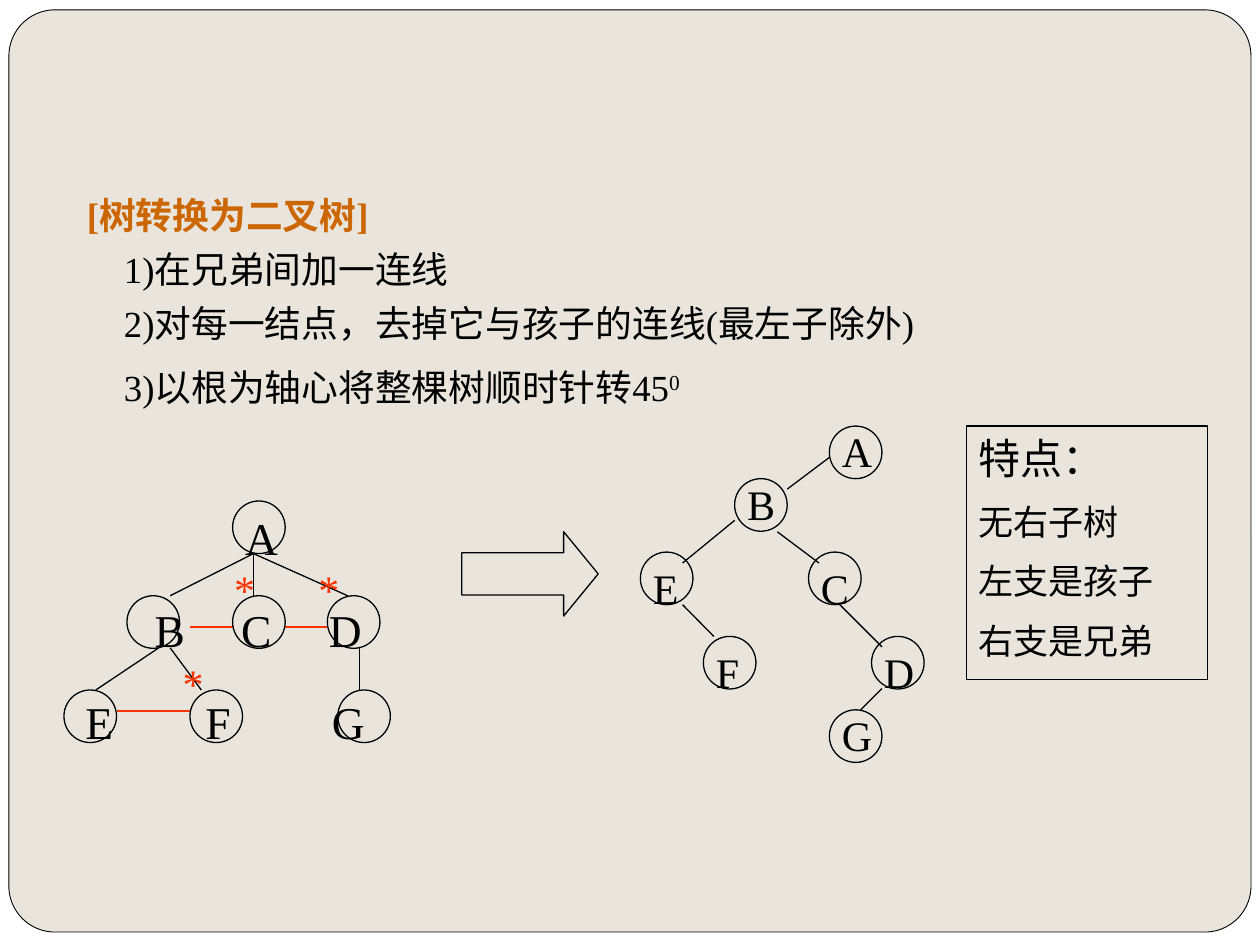
from dataclasses import dataclass

from lxml import etree
from pptx import Presentation
from pptx.dml.color import RGBColor
from pptx.enum import shapes, text
from pptx.oxml.ns import qn
from pptx.util import Cm, Pt


@dataclass(frozen=True)
class Theme:
    font: str = "Times New Roman"
    paper: RGBColor = RGBColor(0xE9, 0xE5, 0xDC)
    ink: RGBColor = RGBColor(0, 0, 0)
    heading: RGBColor = RGBColor(0xCC, 0x66, 0x00)
    sibling: RGBColor = RGBColor(0xFF, 0x33, 0x00)
    body: float = 21
    tree: float = 26
    label: float = 24
    trait: float = 20
    frame_line: float = 0.5
    line: float = 0.75


@dataclass(frozen=True)
class Node:
    """A tree node: top left of its circle and of its label, in cm."""
    name: str
    x: float
    y: float
    label_x: float
    label_y: float


@dataclass(frozen=True)
class Edge:
    x1: float
    y1: float
    x2: float
    y2: float


THEME = Theme()
DIAMETER = 1.06
LABEL_SIZE = 1.27

TREE_NODES = [
    Node("A", 4.69, 10.1, 4.69, 10.16),
    Node("B", 2.56, 12.01, 2.87, 12.01),
    Node("C", 4.69, 12.01, 4.61, 12.01),
    Node("D", 6.6, 12.01, 6.38, 12.01),
    Node("E", 1.29, 13.91, 1.47, 13.87),
    Node("F", 3.83, 13.91, 3.89, 13.87),
    Node("G", 6.81, 13.91, 6.44, 13.87),
]
TREE_EDGES = [
    Edge(5.11, 11.16, 3.43, 12.01),
    Edge(5.11, 11.16, 5.11, 12.01),
    Edge(5.11, 11.16, 7.01, 12.01),
    Edge(3.2, 13.06, 1.93, 13.91),
    Edge(3.43, 13.06, 4.06, 13.91),
    Edge(7.24, 13.06, 7.24, 13.91),
]
SIBLING_EDGES = [
    Edge(3.83, 12.64, 4.69, 12.64),
    Edge(5.74, 12.64, 6.6, 12.64),
    Edge(2.36, 14.33, 3.83, 14.33),
]
SIBLING_MARKS = [(4.47, 11.23), (6.17, 11.23), (3.43, 13.14)]

BINARY_NODES = [
    Node("A", 16.72, 8.59, 16.72, 8.46),
    Node("B", 14.81, 9.65, 14.81, 9.53),
    Node("E", 12.91, 11.13, 12.91, 11.21),
    Node("F", 14.18, 12.83, 14.18, 12.91),
    Node("C", 16.3, 11.13, 16.3, 11.21),
    Node("D", 17.57, 12.83, 17.57, 12.91),
    Node("G", 16.72, 14.31, 16.72, 14.18),
]
BINARY_EDGES = [
    Edge(16.72, 9.22, 15.87, 9.86),
    Edge(14.81, 10.49, 13.76, 11.35),
    Edge(13.76, 12.19, 14.39, 12.83),
    Edge(15.67, 10.72, 16.51, 11.35),
    Edge(16.93, 12.19, 17.78, 13.04),
    Edge(17.78, 13.88, 17.35, 14.31),
]

STEPS = ["1)在兄弟间加一连线", "2)对每一结点，去掉它与孩子的连线(最左子除外)"]
TRAITS = ["无右子树", "左支是孩子", "右支是兄弟"]


def write(frame, content: str, *, size: float, color=THEME.ink, bold=False,
          before: float = 0, spacing: float = 1, indent: float = 0,
          superscript: str = "") -> None:
    """Fill the empty first paragraph of the frame, or add one after the last."""
    paragraph = frame.paragraphs[0]
    if paragraph.runs:
        paragraph = frame.add_paragraph()
    paragraph.alignment = text.PP_ALIGN.LEFT
    paragraph.space_before = Pt(before)
    paragraph.line_spacing = spacing
    if indent:
        paragraph._p.get_or_add_pPr().set("marL", str(Cm(indent)))
    for piece, baseline in ((content, None), (superscript, "30000")):
        if not piece:
            continue
        run = paragraph.add_run()
        run.text = piece
        run.font.name = THEME.font
        run.font.size = Pt(size)
        run.font.bold = bold
        run.font.color.rgb = color
        if baseline:
            run._r.get_or_add_rPr().set("baseline", baseline)


def add_frame(slide, x: float, y: float, width: float, height: float):
    """Add a text box and return its text frame."""
    frame = slide.shapes.add_textbox(Cm(x), Cm(y), Cm(width), Cm(height)).text_frame
    frame.word_wrap = True
    return frame


def add_outline(slide, kind, x: float, y: float, width: float, height: float,
                *, fill=None, weight: float = THEME.line):
    outline = slide.shapes.add_shape(kind, Cm(x), Cm(y), Cm(width), Cm(height))
    outline.shadow.inherit = False
    if fill is None:
        outline.fill.background()
    else:
        outline.fill.solid()
        outline.fill.fore_color.rgb = fill
    outline.line.color.rgb = THEME.ink
    outline.line.width = Pt(weight)
    return outline


def add_edges(slide, edges: list[Edge], color=THEME.ink) -> None:
    for edge in edges:
        branch = slide.shapes.add_connector(
            shapes.MSO_CONNECTOR.STRAIGHT,
            Cm(edge.x1), Cm(edge.y1), Cm(edge.x2), Cm(edge.y2))
        branch.line.color.rgb = color
        branch.line.width = Pt(THEME.line)
        etree.SubElement(branch._element.spPr, qn("a:effectLst"))


def add_nodes(slide, nodes: list[Node], size: float) -> None:
    for node in nodes:
        add_outline(slide, shapes.MSO_SHAPE.OVAL, node.x, node.y, DIAMETER, DIAMETER)
    for node in nodes:
        label = add_frame(slide, node.label_x, node.label_y, LABEL_SIZE, LABEL_SIZE)
        write(label, node.name, size=size)


def main() -> None:
    deck = Presentation()
    deck.slide_width, deck.slide_height = Cm(25.4), Cm(19.05)
    slide = deck.slides.add_slide(deck.slide_layouts[6])

    panel = add_outline(slide, shapes.MSO_SHAPE.ROUNDED_RECTANGLE, 0.18, 0.2,
                        25.04, 18.59, fill=THEME.paper, weight=THEME.frame_line)
    panel.adjustments[0] = 0.05

    method = add_frame(slide, 1.5, 3.76, 22.86, 4.7)
    write(method, "[树转换为二叉树]", size=THEME.body, color=THEME.heading, bold=True)
    for step in STEPS:
        write(method, step, size=THEME.body, before=5.8, indent=0.75)
    write(method, "3)以根为轴心将整棵树顺时针转45", superscript="0",
          size=THEME.body, before=5.8, spacing=1.2, indent=0.75)

    add_edges(slide, TREE_EDGES)
    add_edges(slide, SIBLING_EDGES, THEME.sibling)
    add_nodes(slide, TREE_NODES, THEME.tree)
    for x, y in SIBLING_MARKS:
        mark = add_frame(slide, x, y, LABEL_SIZE, LABEL_SIZE)
        write(mark, "*", size=THEME.label, color=THEME.sibling)

    arrow = add_outline(slide, shapes.MSO_SHAPE.RIGHT_ARROW, 9.31, 10.72, 2.75, 1.7)
    arrow.adjustments[0], arrow.adjustments[1] = 0.5, 0.41

    add_edges(slide, BINARY_EDGES)
    add_nodes(slide, BINARY_NODES, THEME.label)

    traits = add_outline(slide, shapes.MSO_SHAPE.RECTANGLE,
                         19.48, 8.59, 4.87, 5.11).text_frame
    traits.word_wrap = True
    traits.vertical_anchor = text.MSO_ANCHOR.TOP
    write(traits, "特点：", size=THEME.label)
    for trait in TRAITS:
        write(traits, trait, size=THEME.trait, before=10)

    deck.save("out.pptx")


if __name__ == "__main__":
    main()
